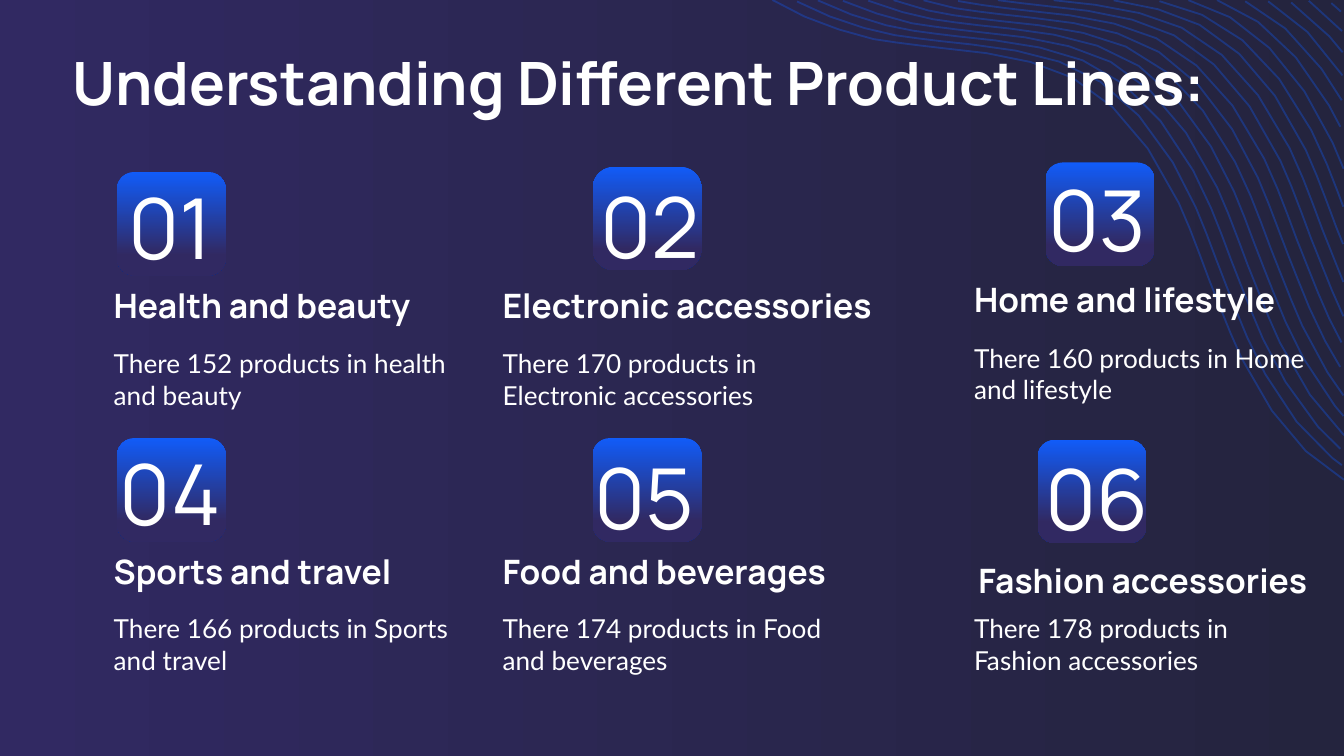
from lxml import etree
from pptx import Presentation
from pptx import util as u
from pptx.dml.color import RGBColor
from pptx.enum import shapes, text
from pptx.oxml.ns import qn

WIDTH, HEIGHT = 25.4, 14.29
WHITE, BLUE, PURPLE, NIGHT = "FFFFFF", "115CF9", "312962", "24243E"


def paint_gradient(fill, first, last, angle, end):
    fill.gradient()
    fill.gradient_angle = angle
    for stop, color, position in zip(fill.gradient_stops, (first, last), (0, end)):
        stop.color.rgb = RGBColor.from_string(color)
        stop.position = position


def add_text(words, left, top, width, height, size, font="Manrope", bold=False, align=text.PP_ALIGN.LEFT):
    box = slide.shapes.add_textbox(u.Cm(left), u.Cm(top), u.Cm(width), u.Cm(height))
    frame = box.text_frame
    frame.word_wrap = True
    frame.margin_left = frame.margin_right = u.Cm(0.25)
    frame.margin_top = frame.margin_bottom = u.Cm(0.25)
    paragraph = frame.paragraphs[0]
    paragraph.text = words
    paragraph.alignment = align
    paragraph.font.name = font
    paragraph.font.size = u.Pt(size)
    paragraph.font.bold = bold
    paragraph.font.color.rgb = RGBColor.from_string(WHITE)


presentation = Presentation()
presentation.slide_width = u.Cm(WIDTH)
presentation.slide_height = u.Cm(HEIGHT)
slide = presentation.slides.add_slide(presentation.slide_layouts[6])
paint_gradient(slide.background.fill, NIGHT, PURPLE, 180, 1)

wave_controls = [
    (14.6, 0), (15.19, 0.36), (15.85, 0.58), (16.51, 0.74),
    (16.94, 0.81), (17.37, 0.86), (17.81, 0.91),
    (18.64, 0.99), (19.51, 1.09), (20.27, 1.47),
    (21.06, 1.9), (21.74, 2.69), (22.28, 3.84),
    (22.5, 4.32), (22.68, 4.83), (22.86, 5.31),
    (23.06, 5.79), (23.24, 6.3), (23.47, 6.78),
    (24, 7.87), (24.64, 8.64), (25.4, 9.07),
]
wave_points = [wave_controls[0]]
for start in range(0, len(wave_controls) - 1, 3):
    curve = wave_controls[start:start + 4]
    for step in range(1, 25):
        t = step / 24
        weights = ((1 - t) ** 3, 3 * t * (1 - t) ** 2, 3 * t * t * (1 - t), t ** 3)
        wave_points.append(tuple(sum(w * p[axis] for w, p in zip(weights, curve)) for axis in (0, 1)))

for index in range(19):
    shifted = [(x + 0.24 * index, y - 0.1 * index) for x, y in wave_points]
    visible = [(u.Cm(x), u.Cm(y)) for x, y in shifted if x <= WIDTH and y >= 0]
    thinned = visible[:-1:8] + visible[-1:]
    builder = slide.shapes.build_freeform(*thinned[0])
    builder.add_line_segments(thinned[1:], close=False)
    wave = builder.convert_to_shape()
    wave.shadow.inherit = False
    wave.fill.background()
    wave.line.width = u.Pt(1)
    wave.line.color.rgb = RGBColor.from_string(BLUE)
    color = wave.line._get_or_add_ln().find(".//" + qn("a:srgbClr"))
    etree.SubElement(color, qn("a:alpha"), val="32000")

add_text("Understanding Different Product Lines:", 1.12, 0.61, 23.14, 1.6, 32, bold=True)

product_lines = [
    ("Health and beauty", "There 152 products in health and beauty",
     (2.21, 3.25), (1.9, 3.07), (1.9, 5.13, 6.91), (1.9, 6.32)),
    ("Electronic accessories", "There 170 products in Electronic accessories",
     (11.2, 3.15), (10.97, 3.05), (9.25, 5.13, 8.08), (9.25, 6.32)),
    ("Home and lifestyle", "There 160 products in Home and lifestyle",
     (19.76, 3.07), (19.41, 2.92), (18.16, 5.03, 7.24), (18.16, 6.22)),
    ("Sports and travel", "There 166 products in Sports and travel",
     (2.21, 8.28), (1.9, 8.1), (1.9, 10.16, 6.91), (1.9, 11.33)),
    ("Food and beverages", "There 174 products in Food and beverages",
     (11.2, 8.28), (10.85, 8.18), (9.25, 10.16, 7.34), (9.25, 11.33)),
    ("Fashion accessories", "There 178 products in Fashion accessories",
     (19.61, 8.31), (19.41, 8.2), (18.24, 10.34, 7.16), (18.16, 11.33)),
]
for number, (name, detail, tile_at, number_at, name_at, detail_at) in enumerate(product_lines, 1):
    left, top = tile_at
    tile = slide.shapes.add_shape(
        shapes.MSO_SHAPE.ROUNDED_RECTANGLE, u.Cm(left), u.Cm(top), u.Cm(2.06), u.Cm(1.96))
    tile.adjustments[0] = 0.21 if number == 2 else 0.17
    tile.shadow.inherit = False
    tile.line.fill.background()
    paint_gradient(tile.fill, BLUE, PURPLE, 270, 0.8)
    add_text(f"{number:02}", *number_at, 2.64, 2.13, 45, align=text.PP_ALIGN.CENTER)
    add_text(name, *name_at, 1.47, 18, bold=True)
    add_text(detail, *detail_at, 6.91, 1.35, 14, font="Lato")

presentation.save("out.pptx")
